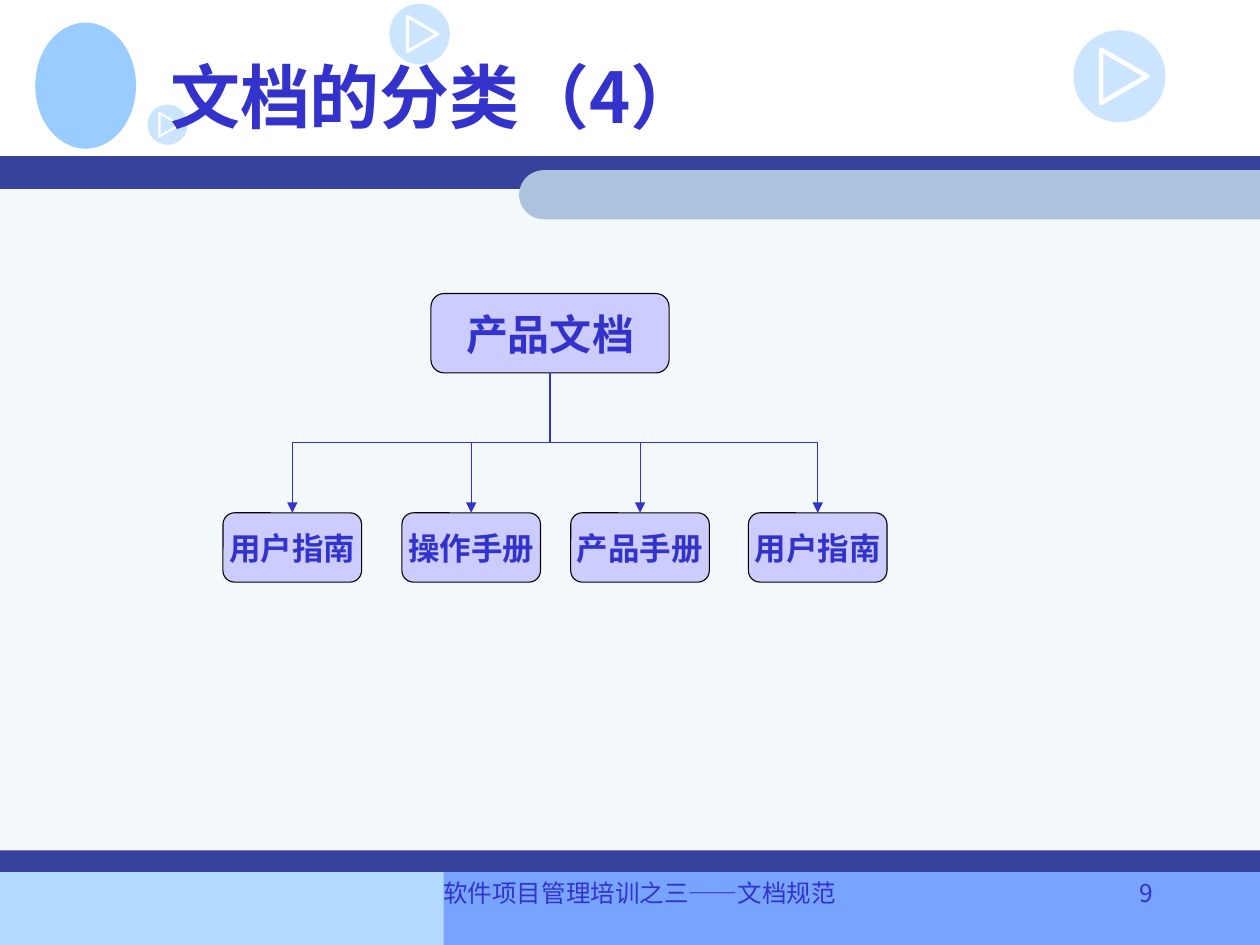
from lxml import etree
from pptx import Presentation
from pptx.dml.color import RGBColor
from pptx.enum import shapes, text
from pptx.oxml.ns import qn
from pptx.util import Inches, Pt

SANS = "Noto Sans CJK SC"
FOOTER_FONT = "Noto Sans CJK KR"
INK, NAVY, SKY, LILAC = "3333CC", "36429B", "99CCFF", "CCCCFF"
KIND = shapes.MSO_SHAPE


def color(value):
    return RGBColor.from_string(value)


def paint(shape, fill=None, line=None, width=0.62):
    shape.shadow.inherit = False
    if fill:
        shape.fill.solid()
        shape.fill.fore_color.rgb = color(fill)
    else:
        shape.fill.background()
    if line:
        shape.line.color.rgb = color(line)
        shape.line.width = Pt(width)
    else:
        shape.line.fill.background()


def add_block(page, kind, left, top, width, height, fill, line=None):
    shape = page.shapes.add_shape(
        kind, Inches(left), Inches(top), Inches(width), Inches(height))
    paint(shape, fill, line)
    return shape


def write(box, words, size, font=SANS, bold=False, align=text.PP_ALIGN.LEFT,
          anchor=text.MSO_ANCHOR.TOP, wrap=True):
    frame = box.text_frame
    frame.text = words
    frame.word_wrap = wrap
    frame.vertical_anchor = anchor
    para = frame.paragraphs[0]
    para.alignment = align
    span = para.runs[0]
    span.font.size, span.font.bold = Pt(size), bold
    span.font.name = font
    span.font.color.rgb = color(INK)
    east_asian = etree.SubElement(span.font._element, qn("a:ea"))
    east_asian.set("typeface", font)


def add_play_badge(page, left, top, size):
    disc = add_block(page, KIND.OVAL, left, top, size, size, SKY)
    tint = disc.fill._xPr.find(qn("a:solidFill"))[0]
    etree.SubElement(tint, qn("a:alpha")).set("val", "50000")
    # White triangle pointing right
    corners = [(left + size * x, top + size * y)
               for x, y in ((0.3, 0.21), (0.8, 0.5), (0.3, 0.79))]
    points = [(Inches(x), Inches(y)) for x, y in corners]
    builder = page.shapes.build_freeform(*points[0])
    builder.add_line_segments(points[1:], close=True)
    paint(builder.convert_to_shape(), line="FFFFFF", width=size * 3.6)


def add_backdrop(page):
    # Footer bands, body and header bar
    add_block(page, KIND.RECTANGLE, 0, 6.92, 4.25, 0.58, "B5DAFF")
    add_block(page, KIND.RECTANGLE, 3.52, 6.91, 6.48, 0.59, "77A4FF")
    add_block(page, KIND.RECTANGLE, 0, 1.4, 10, 5.51, "F3F8FB")
    add_block(page, KIND.RECTANGLE, 0, 1.24, 10, 0.26, NAVY)
    # Tab with a round left end: a round-topped bar turned on its side
    left, top, width, height = 4.12, 1.35, 5.88, 0.39
    tab = add_block(page, KIND.ROUND_2_SAME_RECTANGLE,
                    left + (width - height) / 2, top - (width - height) / 2,
                    height, width, "ADC3DD")
    tab.adjustments[0] = 0.5
    tab.rotation = 270
    # Plain emblem
    add_block(page, KIND.OVAL, 0.28, 0.18, 0.8, 1, SKY)
    # Play badges and footer bar
    add_play_badge(page, 3.09, 0.03, 0.48)
    add_play_badge(page, 8.52, 0.24, 0.73)
    add_block(page, KIND.RECTANGLE, 0, 6.75, 10, 0.17, NAVY)
    add_play_badge(page, 1.17, 0.83, 0.32)


def add_title(page, left, top, width, height):
    title = page.shapes.title
    title.left, title.top = Inches(left), Inches(top)
    title.width, title.height = Inches(width), Inches(height)
    write(title, "文档的分类（4）", 40, bold=True, anchor=text.MSO_ANCHOR.MIDDLE)
    page.shapes._spTree.append(title._element)  # in front of the backdrop


def add_node(page, words, size, left, top, width, height):
    node = add_block(page, KIND.FLOWCHART_ALTERNATE_PROCESS,
                     left, top, width, height, LILAC, "000000")
    write(node, words, size, bold=True, align=text.PP_ALIGN.CENTER,
          anchor=text.MSO_ANCHOR.MIDDLE, wrap=False)


def add_arrow(page, kind, start, end):
    arrow = page.shapes.add_connector(
        kind, *(Inches(value) for value in (*start, *end)))
    arrow.line.color.rgb = color(INK)
    arrow.line.width = Pt(0.62)
    head = etree.SubElement(arrow.line._get_or_add_ln(), qn("a:tailEnd"))
    head.set("type", "triangle")
    properties = arrow._element.spPr
    etree.SubElement(properties, qn("a:effectLst"))
    return properties


def add_tree(page, left, top):
    root_left, root_width, root_height = left + 1.65, 1.89, 0.63
    leaf_top, leaf_width, leaf_height = top + 1.74, 1.1, 0.55
    leaves = [("用户指南", 0), ("操作手册", 1.42),
              ("产品手册", 2.76), ("用户指南", 4.17)]
    add_node(page, "产品文档", 24, root_left, top, root_width, root_height)
    for words, offset in leaves:
        add_node(page, words, 18, left + offset, leaf_top, leaf_width, leaf_height)

    root_x, root_bottom = root_left + root_width / 2, top + root_height
    branch_y = (root_bottom + leaf_top) / 2
    first, *middle, last = [left + offset + leaf_width / 2 for _, offset in leaves]
    elbow = shapes.MSO_CONNECTOR.ELBOW

    # Root to first leaf: an elbow turned a quarter about its centre
    center_x = (root_x + first) / 2
    half_drop, half_span = (leaf_top - root_bottom) / 2, (root_x - first) / 2
    turned = add_arrow(page, elbow, (center_x - half_drop, branch_y - half_span),
                       (center_x + half_drop, branch_y + half_span))
    turned.find(qn("a:xfrm")).set("rot", "5400000")
    # Branch to last leaf: a single bend
    bend = add_arrow(page, elbow, (root_x - 0.08, branch_y), (last, leaf_top))
    bend.find(qn("a:prstGeom")).set("prst", "bentConnector2")
    # Straight drops to the middle leaves
    for x in middle:
        add_arrow(page, shapes.MSO_CONNECTOR.STRAIGHT, (x, branch_y), (x, leaf_top))


def add_footer(page, left, top, height):
    parts = [("软件项目管理培训之三——文档规范", 5.05, text.PP_ALIGN.LEFT),
             ("9", 0.78, text.PP_ALIGN.RIGHT)]
    for words, width, align in parts:
        box = page.shapes.add_textbox(
            Inches(left), Inches(top), Inches(width), Inches(height))
        write(box, words, 14, font=FOOTER_FONT, align=align)
        left += width


def main():
    deck = Presentation()
    deck.slide_width, deck.slide_height = Inches(10), Inches(7.5)
    page = deck.slides.add_slide(deck.slide_layouts[5])
    add_backdrop(page)
    add_title(page, 1.25, 0.17, 8.5, 1.17)
    add_tree(page, 1.77, 2.33)
    add_footer(page, 3.42, 6.92, 0.5)
    deck.save("out.pptx")


if __name__ == "__main__":
    main()
